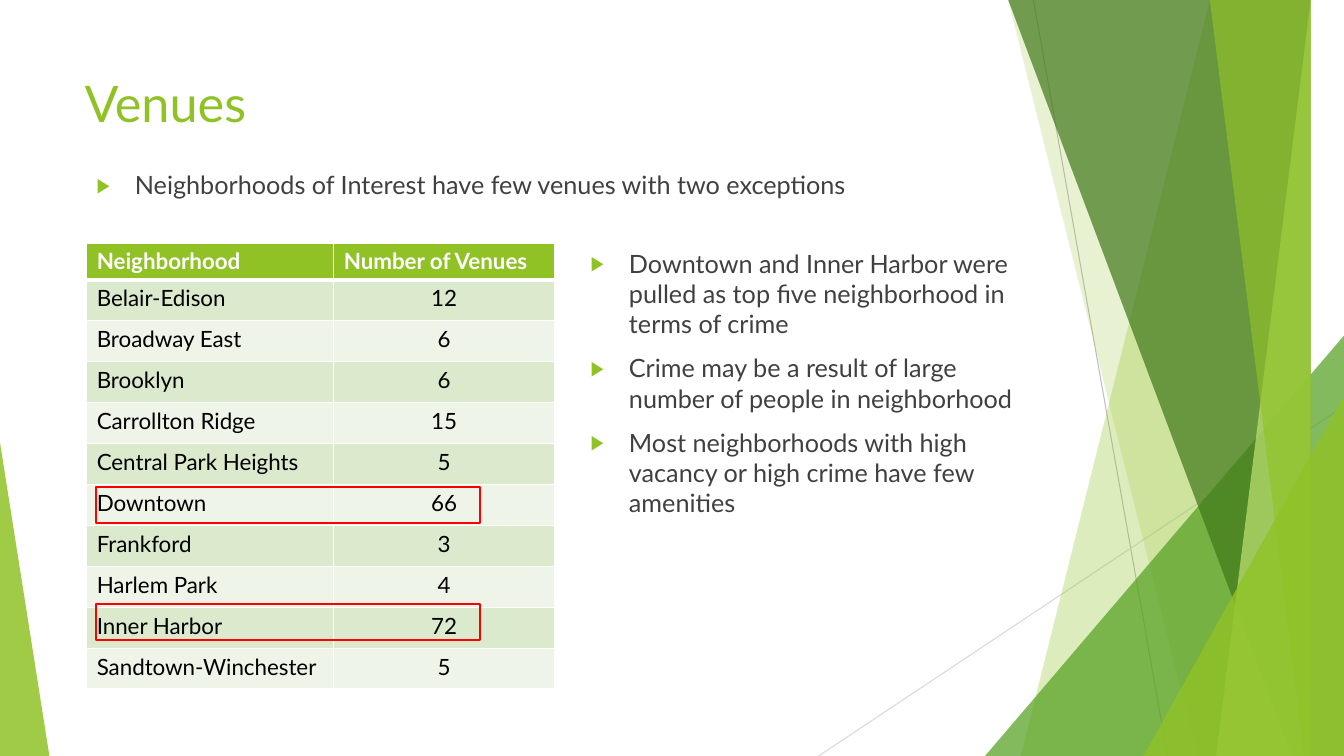
"""Build the Venues slide: a table of neighborhoods beside its findings."""
from lxml import etree
from pptx import Presentation, util as u
from pptx.dml.color import RGBColor
from pptx.enum import shapes, text
from pptx.oxml import ns

COLORS = {
    "green": "90C226", "leaf": "54A021", "forest": "3F7819", "lime": "C0E474",
    "body": "404040", "black": "000000", "white": "FFFFFF", "red": "FF0000",
    "band_dark": "DBE9CD", "band_light": "EEF4E8",
    "rule_dark": "BFBFBF", "rule_light": "D9D9D9",
}
FONT = "Lato"
PAGE = (13.33, 7.5)
HEADINGS = ("Neighborhood", "Number of Venues")
VENUES = {
    "Belair-Edison": 12, "Broadway East": 6, "Brooklyn": 6, "Carrollton Ridge": 15,
    "Central Park Heights": 5, "Downtown": 66, "Frankford": 3, "Harlem Park": 4,
    "Inner Harbor": 72, "Sandtown-Winchester": 5,
}
FINDINGS = (
    "Downtown and Inner Harbor were pulled as top five neighborhood in terms of crime",
    "Crime may be a result of large number of people in neighborhood",
    "Most neighborhoods with high vacancy or high crime have few amenities",
)


def color(name):
    """Return the named color."""
    return RGBColor.from_string(COLORS[name])


def add_element(parent, tag, **attributes):
    """Append a DrawingML element and return it."""
    return etree.SubElement(parent, ns.qn(f"a:{tag}"), attributes)


def add_color(parent, name):
    """Append a color value and return it."""
    return add_element(parent, "srgbClr", val=COLORS[name])


def set_font(span, **values):
    """Set the font of a run from format values."""
    span.font.color.rgb = color(values.pop("color"))
    for name, value in {"name": FONT, **values}.items():
        setattr(span.font, name, value)


def paint(shape, name, percent):
    """Give a shape a translucent fill without line or shadow."""
    shape.shadow.inherit = False
    shape.line.fill.background()
    shape.fill.solid()
    shape.fill.fore_color.rgb = color(name)
    value = shape.fill._xPr.find(".//" + ns.qn("a:srgbClr"))
    add_element(value, "alpha", val=str(percent * 1000))


def add_rule(page, start, end, name):
    """Draw one thin straight rule."""
    rule = page.shapes.add_connector(
        shapes.MSO_CONNECTOR.STRAIGHT, *map(u.Inches, start + end))
    rule.line.color.rgb = color(name)
    rule.line.width = u.Pt(0.75)
    add_element(rule._element.spPr, "effectLst")


def add_blade(page, box, top_left, bottom_left, name, percent):
    """Draw a slanted band that reaches the right edge of its box."""
    left, top, width, height = box
    right, bottom = left + width, top + height
    builder = page.shapes.build_freeform(top_left, top, scale=u.Inches(1))
    builder.add_line_segments(
        [(right, top), (right, bottom), (bottom_left, bottom)], close=True)
    paint(builder.convert_to_shape(), name, percent)


def add_corner(page, box, apex, name, percent):
    """Draw a triangle whose apex lies at a fraction of its width."""
    corner = page.shapes.add_shape(
        shapes.MSO_SHAPE.ISOSCELES_TRIANGLE, *map(u.Inches, box))
    corner.adjustments[0] = apex
    paint(corner, name, percent)


def add_backdrop(page, box):
    """Draw the green facets along the edges of the box."""
    left, top, width, height = box
    right, bottom = left + width, top + height
    add_rule(page, (10.25, top), (11.58, bottom), "rule_dark")
    add_rule(page, (right, 4.03), (8.12, bottom), "rule_light")
    facets = (
        (add_blade, 12.28, 10.04, "green", 30),
        (add_blade, 10.5, 11.83, "green", 20),
        (add_corner, 3.56, 4.17, "leaf", 72),
        (add_blade, 10.21, 12.91, "forest", 70),
        (add_blade, 13.03, 11.92, "lime", 70),
        (add_blade, 11.96, 13.18, "green", 65),
        (add_corner, 1.99, 3.57, "green", 80),
    )
    for draw, first, second, name, percent in facets:
        if draw is add_blade:
            add_blade(page, box, first, second, name, percent)
        else:
            place = (right - first, bottom - second, first, second)
            add_corner(page, place, 1, name, percent)
    add_corner(page, (left, bottom - 3.11, 0.49, 3.11), 0, "green", 85)


def add_text(page, box, lines, size, name, bulleted=False):
    """Place paragraphs in a wrapping text box."""
    frame = page.shapes.add_textbox(*map(u.Inches, box)).text_frame
    frame.word_wrap = True
    frame.vertical_anchor = text.MSO_ANCHOR.TOP
    for index, line in enumerate(lines):
        para = frame.add_paragraph() if index else frame.paragraphs[0]
        span = para.add_run()
        span.text = line
        set_font(span, size=u.Pt(size), color=name)
        if bulleted:
            add_bullet(para)


def add_bullet(para):
    """Give a paragraph a green arrow bullet and a hanging indent."""
    para.space_before = u.Pt(10)
    properties = para._p.get_or_add_pPr()
    properties.set("marL", str(u.Inches(0.38)))
    properties.set("indent", str(-u.Inches(0.38)))
    add_color(add_element(properties, "buClr"), "green")
    add_element(properties, "buSzPct", val="80000")
    add_element(properties, "buFont", typeface=FONT)
    add_element(properties, "buChar", char="▶")


def set_borders(cell, **widths):
    """Draw the white borders of a cell, widths in points."""
    properties = cell._tc.get_or_add_tcPr()
    for index, (side, width) in enumerate(widths.items()):
        border = add_element(properties, f"ln{side}", w=str(u.Pt(width)))
        add_color(add_element(border, "solidFill"), "white")
        properties.insert(index, border)


def add_venue_table(page, box):
    """Place the venue table and frame its two exceptions."""
    left, top, width, height = box
    rows = [HEADINGS, *VENUES.items()]
    table = page.shapes.add_table(len(rows), 2, *map(u.Inches, box)).table
    for column, share in zip(table.columns, (2.45, width - 2.45)):
        column.width = u.Inches(share)
    heading_height = 0.36
    row_height = (height - heading_height) / len(VENUES)
    for y, values in enumerate(rows):
        table.rows[y].height = u.Inches(row_height if y else heading_height)
        band = ("band_dark" if y % 2 else "band_light") if y else "green"
        for x, value in enumerate(values):
            cell = table.cell(y, x)
            cell.fill.solid()
            cell.fill.fore_color.rgb = color(band)
            set_borders(cell, L=1, R=1, T=3 if y == 1 else 1, B=1 if y else 3)
            para = cell.text_frame.paragraphs[0]
            if x and y:
                para.alignment = text.PP_ALIGN.CENTER
            span = para.add_run()
            span.text = str(value)
            set_font(span, size=u.Pt(16), bold=not y,
                     color="black" if y else "white")
    for frame_top in (4.83, 5.99):
        frame = page.shapes.add_shape(
            shapes.MSO_SHAPE.RECTANGLE,
            *map(u.Inches, (left + 0.09, frame_top, 3.81, 0.36)))
        frame.shadow.inherit = False
        frame.fill.background()
        frame.line.color.rgb = color("red")
        frame.line.width = u.Pt(1.5)


def main():
    """Build and save the deck."""
    deck = Presentation()
    deck.slide_width, deck.slide_height = map(u.Inches, PAGE)
    page = deck.slides.add_slide(deck.slide_layouts[6])
    add_backdrop(page, (0, 0, *PAGE))
    add_text(page, (0.74, 0.67, 9.4, 0.77), ["Venues"], 36, "green")
    add_text(page, (0.86, 1.63, 8.25, 0.61),
             ["Neighborhoods of Interest have few venues with two exceptions"],
             18, "body", bulleted=True)
    add_venue_table(page, (0.86, 2.41, 4.64, 4.42))
    add_text(page, (5.76, 2.41, 4.38, 4.27), FINDINGS, 18, "body", bulleted=True)
    deck.save("out.pptx")


if __name__ == "__main__":
    main()
